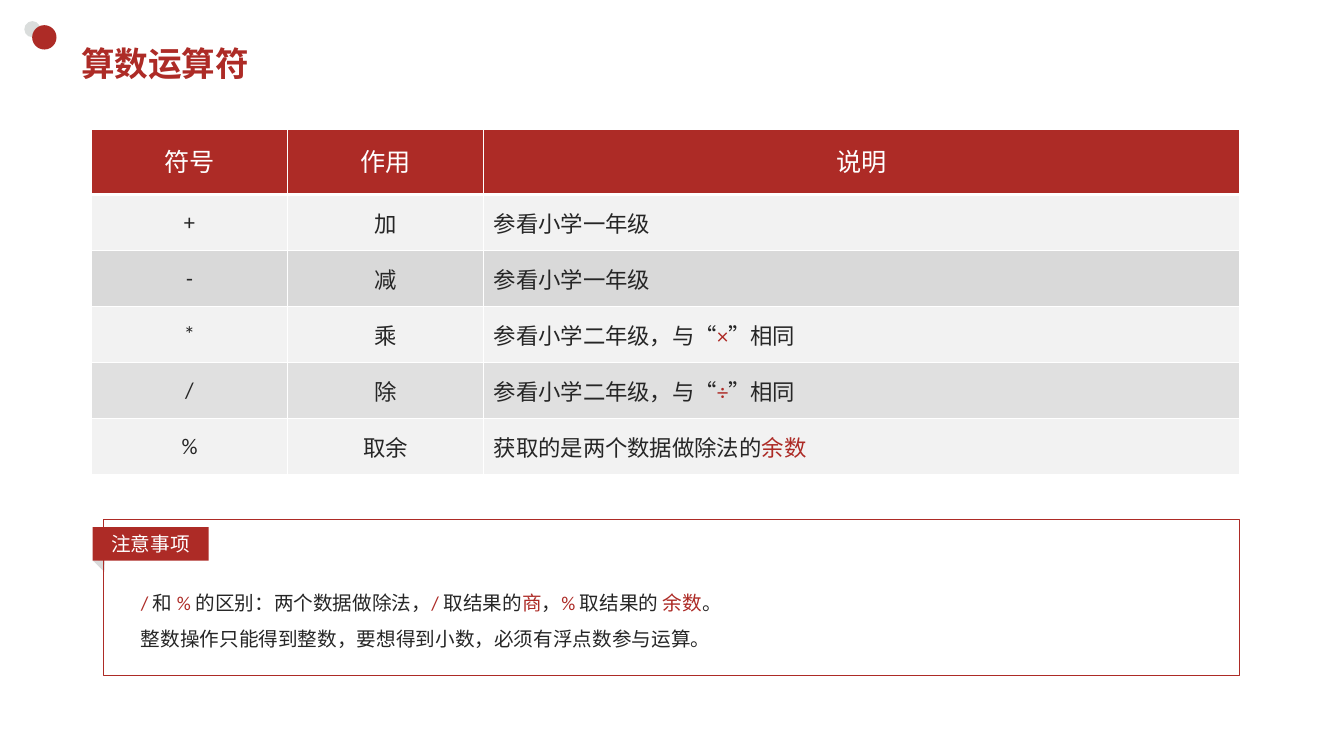
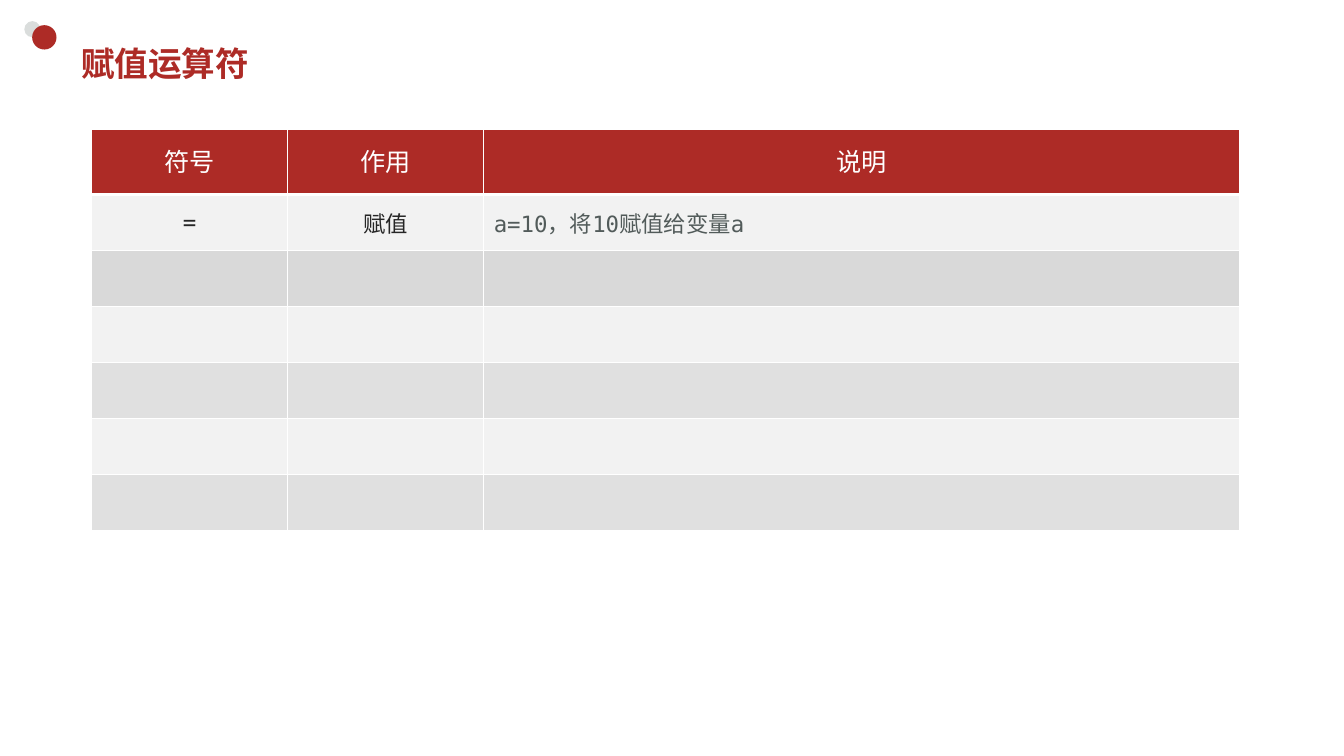
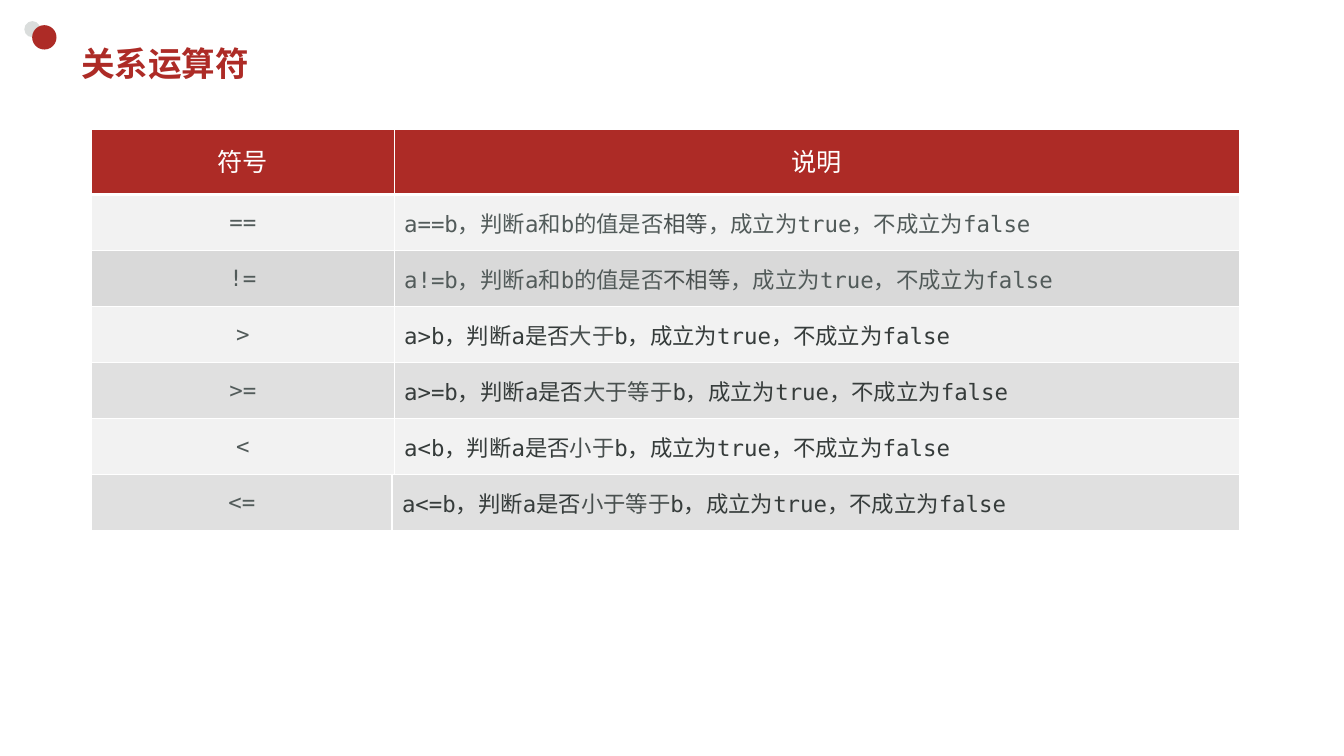
from dataclasses import dataclass

from lxml import etree
from pptx import Presentation
from pptx.dml.color import RGBColor
from pptx.enum.lang import MSO_LANGUAGE_ID
from pptx.enum.shapes import MSO_SHAPE
from pptx.enum.text import MSO_ANCHOR, MSO_AUTO_SIZE, PP_ALIGN
from pptx.oxml.ns import qn
from pptx.util import Pt

OVAL, RECTANGLE, TRIANGLE = MSO_SHAPE.OVAL, MSO_SHAPE.RECTANGLE, MSO_SHAPE.ISOSCELES_TRIANGLE
LEFT, CENTER = PP_ALIGN.LEFT, PP_ALIGN.CENTER
TOP, MIDDLE = MSO_ANCHOR.TOP, MSO_ANCHOR.MIDDLE
GROW = MSO_AUTO_SIZE.SHAPE_TO_FIT_TEXT
CHINESE = MSO_LANGUAGE_ID.SIMPLIFIED_CHINESE


@dataclass(frozen=True)
class Theme:
    # Colours
    red: str = "AD2B26"
    dot_gray: str = "DADDDC"
    white: str = "FFFFFF"
    light: str = "F2F2F2"
    gray: str = "D9D9D9"
    ink: str = "262626"
    code_gray: str = "525B5A"
    code_dark: str = "363C3B"
    code_accent: str = "49504F"
    # Fonts and type sizes
    sans: str = "Calibri"
    mono: str = "DejaVu Sans Mono"
    title: int = 24
    header: int = 18
    body: int = 16
    note: int = 14


THEME = Theme()

# Row fills as (colour, opacity in percent)
LIGHT_BAND = (THEME.light, 100)
GRAY_BAND = (THEME.gray, 100)
SOFT_BAND = (THEME.gray, 80)
BANDS = [LIGHT_BAND, GRAY_BAND, LIGHT_BAND, SOFT_BAND, LIGHT_BAND]

# Table grid
TABLE_LEFT, TABLE_TOP = 65.5, 92.2
HEADER_HEIGHT, ROW_HEIGHT = 46.8, 40
EXTRA_TOP = TABLE_TOP + HEADER_HEIGHT + len(BANDS) * ROW_HEIGHT
THREE_COLUMNS = [139.7, 140.3, 540]
THREE_HEADERS = ["符号", "作用", "说明"]


def rgb(color):
    return RGBColor.from_string(color)


def write_text(frame, *lines, size, font=THEME.sans, color=THEME.ink, bold=False,
               align=LEFT, anchor=TOP, spacing=None):
    """Fill a frame; a line is a string or a list of strings and (text, colour) pairs."""
    frame.word_wrap = True
    frame.vertical_anchor = anchor
    for index, line in enumerate(lines):
        para = frame.add_paragraph() if index else frame.paragraphs[0]
        para.alignment = align
        if spacing:
            para.line_spacing = spacing
        for part in [line] if isinstance(line, str) else line:
            text, part_color = (part, color) if isinstance(part, str) else part
            span = para.add_run()
            span.text = text
            span.font.name = font
            span.font.size = Pt(size)
            span.font.bold = bold
            span.font.language_id = CHINESE
            span.font.color.rgb = rgb(part_color)


def add_box(page, kind, left, top, width, height, fill=None, line=None):
    box = page.shapes.add_shape(kind, Pt(left), Pt(top), Pt(width), Pt(height))
    box.shadow.inherit = False
    if fill:
        box.fill.solid()
        box.fill.fore_color.rgb = rgb(fill)
    else:
        box.fill.background()
    if line:
        box.line.color.rgb = rgb(line)
        box.line.width = Pt(0.75)
    else:
        box.line.fill.background()
    return box


def add_page(deck, title):
    """Blank page with the corner dots and the title."""
    page = deck.slides.add_slide(deck.slide_layouts[6])
    add_box(page, OVAL, 17.4, 15.1, 11.5, 11.5, fill=THEME.dot_gray)
    add_box(page, OVAL, 23, 18, 17.4, 17.4, fill=THEME.red)
    box = page.shapes.add_textbox(Pt(45.4), Pt(26.6), Pt(845.3), Pt(37.4))
    box.text_frame.margin_left = Pt(12.5)
    write_text(box.text_frame, title, size=THEME.title, font=THEME.mono,
               color=THEME.red, bold=True, anchor=MIDDLE)
    return page


def style_cell(cell, band, top=1, bottom=1):
    """Set the fill with its opacity, and white borders."""
    color, opacity = band
    cell.fill.solid()
    cell.fill.fore_color.rgb = rgb(color)
    properties = cell._tc.get_or_add_tcPr()
    if opacity < 100:
        fill_color = properties.find(qn("a:solidFill")).find(qn("a:srgbClr"))
        etree.SubElement(fill_color, qn("a:alpha"), val=str(opacity * 1000))
    sides = {"a:lnL": 1, "a:lnR": 1, "a:lnT": top, "a:lnB": bottom}
    for index, (side, width) in enumerate(sides.items()):
        border = etree.Element(qn(side), w=str(Pt(width)))
        paint = etree.SubElement(border, qn("a:solidFill"))
        etree.SubElement(paint, qn("a:srgbClr"), val=THEME.white)
        properties.insert(index, border)


def add_grid(page, top, widths, rows, bands, headers=None, font=THEME.sans, color=THEME.ink):
    """Table with one band per row; cells without content stay empty."""
    heights = [HEADER_HEIGHT] * bool(headers) + [ROW_HEIGHT] * len(bands)
    table = page.shapes.add_table(len(heights), len(widths), Pt(TABLE_LEFT), Pt(top),
                                  Pt(sum(widths)), Pt(sum(heights))).table
    table.first_row = bool(headers)
    table.horz_banding = False
    for column, width in zip(table.columns, widths):
        column.width = Pt(width)
    for row, height in zip(table.rows, heights):
        row.height = Pt(height)

    # Header row
    for column, text in enumerate(headers or []):
        cell = table.cell(0, column)
        style_cell(cell, (THEME.red, 100), bottom=3)
        write_text(cell.text_frame, text, size=THEME.header, color=THEME.white,
                   align=CENTER, spacing=Pt(24))
        cell.vertical_anchor = MIDDLE

    # Body rows: the last column is left-aligned
    first = 1 if headers else 0
    for index, band in enumerate(bands):
        texts = rows[index] if index < len(rows) else []
        for column in range(len(widths)):
            cell = table.cell(first + index, column)
            style_cell(cell, band, top=3 if headers and index == 0 else 1)
            cell.vertical_anchor = MIDDLE
            if column < len(texts):
                last = column == len(widths) - 1
                write_text(cell.text_frame, texts[column], size=THEME.body, font=font,
                           color=color, align=LEFT if last else CENTER)
                cell.vertical_anchor = MIDDLE


def add_note(page, label, *lines):
    """Framed remarks with a folded label at the upper left."""
    frame = page.shapes.add_textbox(Pt(93.6), Pt(410.4), Pt(532.8), Pt(55.4)).text_frame
    write_text(frame, *lines, size=THEME.note, spacing=1.5)
    frame.auto_size = GROW
    add_box(page, RECTANGLE, 74.2, 370.8, 811.4, 111.6, line=THEME.red)
    tag = add_box(page, RECTANGLE, 66.2, 376.6, 82.8, 23.8, fill=THEME.red)
    write_text(tag.text_frame, label, size=THEME.note, color=THEME.white,
               align=CENTER, anchor=MIDDLE)


def arithmetic_page(deck):
    page = add_page(deck, "算数运算符")
    fold = add_box(page, TRIANGLE, 67, 398.9, 11.5, 6.5, fill=THEME.gray)
    fold.rotation = 44.2

    def red(text):
        return text, THEME.red

    rows = [
        ["+", "加", "参看小学一年级"],
        ["-", "减", "参看小学一年级"],
        ["*", "乘", ["参看小学二年级，与“", red("×"), "”相同"]],
        ["/", "除", ["参看小学二年级，与“", red("÷"), "”相同"]],
        ["%", "取余", ["获取的是两个数据做除法的", red("余数")]],
    ]
    add_grid(page, TABLE_TOP, THREE_COLUMNS, rows, BANDS, THREE_HEADERS)
    add_note(
        page, "注意事项",
        [red("/ "), "和 ", red("% "), "的区别：两个数据做除法，", red("/ "), "取结果的",
         red("商"), "，", red("% "), "取结果的 ", red("余数"), "。"],
        "整数操作只能得到整数，要想得到小数，必须有浮点数参与运算。")


def assignment_page(deck):
    page = add_page(deck, "赋值运算符")
    rows = [["=", "赋值", [("a=10，将10赋值给变量a", THEME.code_gray)]]]
    add_grid(page, TABLE_TOP, THREE_COLUMNS, rows, BANDS, THREE_HEADERS, font=THEME.mono)
    add_grid(page, EXTRA_TOP, THREE_COLUMNS, [], [SOFT_BAND])


def relation_row(symbol, subject, meaning, other, color):
    return [symbol, [(f"a{symbol}b，判断{subject}是否", color),
                     (meaning, THEME.code_accent),
                     (f"{other}，成立为true，不成立为false", color)]]


def relation_page(deck):
    page = add_page(deck, "关系运算符")
    equality = [("==", "相等"), ("!=", "不相等")]
    order = [(">", "大于"), (">=", "大于等于"), ("<", "小于"), ("<=", "小于等于")]
    rows = [relation_row(symbol, "a和b的值", meaning, "", THEME.code_gray)
            for symbol, meaning in equality]
    rows += [relation_row(symbol, "a", meaning, "b", THEME.code_dark)
             for symbol, meaning in order]
    style = {"font": THEME.mono, "color": THEME.code_gray}
    add_grid(page, TABLE_TOP, [216, 604], rows[:-1], BANDS, ["符号", "说明"], **style)
    add_grid(page, EXTRA_TOP, [214.5, 605.5], rows[-1:], [SOFT_BAND], **style)


def main():
    deck = Presentation()
    deck.slide_width, deck.slide_height = Pt(960), Pt(540)
    arithmetic_page(deck)
    assignment_page(deck)
    relation_page(deck)
    deck.save("out.pptx")


if __name__ == "__main__":
    main()
